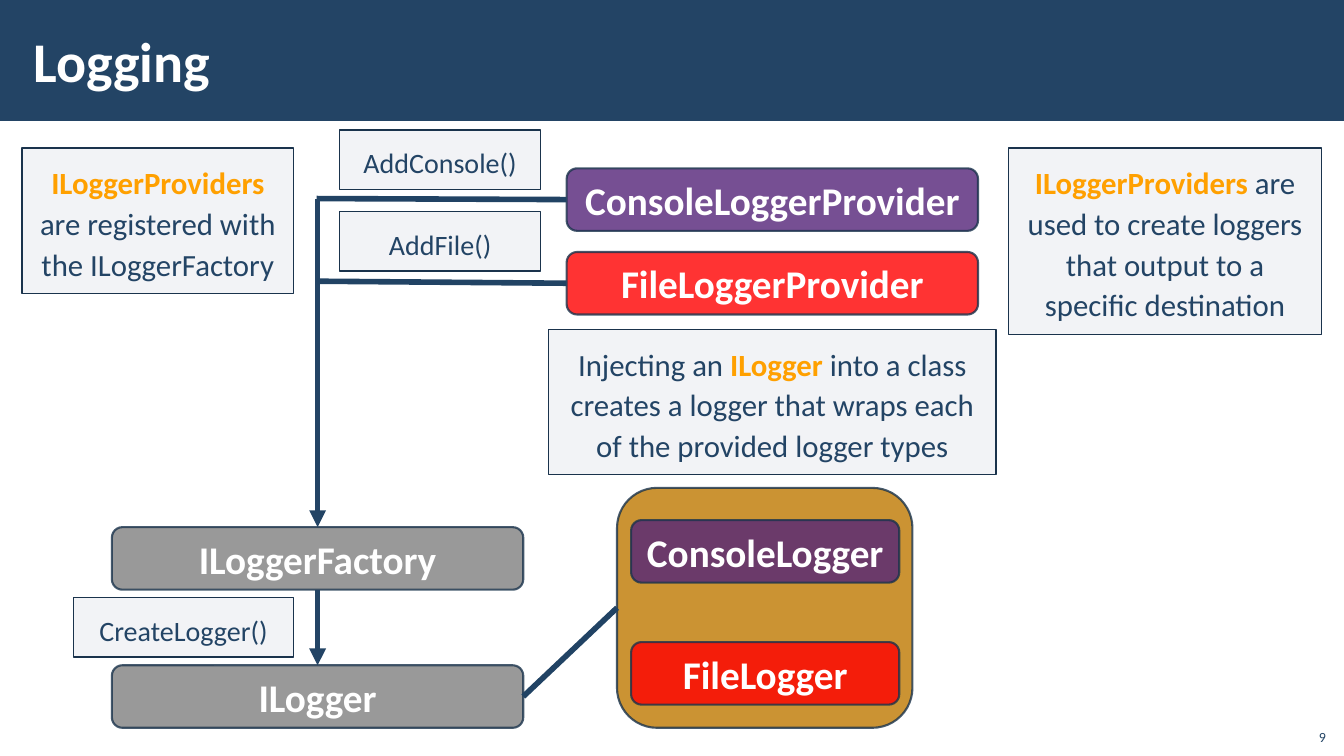
from lxml import etree
from pptx import Presentation
from pptx.dml.color import RGBColor
from pptx.enum.shapes import MSO_CONNECTOR, MSO_SHAPE
from pptx.enum.text import MSO_ANCHOR as ANCHOR, MSO_AUTO_SIZE as AUTO_SIZE, PP_ALIGN as ALIGN
from pptx.oxml.ns import qn
from pptx.util import Inches, Pt

FONT = "Calibri"
COLORS = {
    "navy": "234465",
    "link": "214364",
    "outline": "1A334C",
    "white": "FFFFFF",
    "orange": "FFA000",
    "purple": "542478",
    "red": "FF0000",
    "gray": "808080",
    "gold": "BF7800",
    "pale": "ADB4C3",
}
TOP, LEFT, BOTTOM, RIGHT = range(4)
NODE_HEIGHT = 0.62
WIDE, NARROW = 4.08, 2.66
TRUNK_X = 3.15


def color(name):
    return RGBColor.from_string(COLORS[name])


def set_font(font, size, name, bold=False):
    font.name = FONT
    font.size = Pt(size)
    font.bold = bold
    font.color.rgb = color(name)


def set_opacity(parent, percent):
    """Make the solid fill directly under parent partly transparent."""
    srgb = parent.find(qn("a:solidFill")).find(qn("a:srgbClr"))
    etree.SubElement(srgb, qn("a:alpha")).set("val", str(percent * 1000))


def add_box(page, kind, place, fill, opacity=100, line_width=None):
    box = page.shapes.add_shape(kind, *map(Inches, place))
    box.shadow.inherit = False
    box.fill.solid()
    box.fill.fore_color.rgb = color(fill)
    if opacity < 100:
        set_opacity(box.element.spPr, opacity)
    if line_width:
        box.line.color.rgb = color("outline")
        box.line.width = Pt(line_width)
    else:
        box.line.fill.background()
    return box


def add_node(page, left, top, width, fill, text="", height=NODE_HEIGHT):
    """Add a translucent rounded box with a bold white name."""
    box = add_box(page, MSO_SHAPE.ROUNDED_RECTANGLE, (left, top, width, height), fill, 80, 1.5)
    set_opacity(box.element.spPr.find(qn("a:ln")), 80)
    if text:
        box.text_frame.vertical_anchor = ANCHOR.MIDDLE
        para = box.text_frame.paragraphs[0]
        para.text = text
        para.alignment = ALIGN.CENTER
        set_font(para.font, 28, "white", bold=True)
    return box


def add_note(page, place, parts, size=22):
    """Add a pale box; parts are (text, is_highlighted) pairs."""
    box = add_box(page, MSO_SHAPE.RECTANGLE, place, "pale", 15, 1)
    frame = box.text_frame
    frame.word_wrap = True
    frame.auto_size = AUTO_SIZE.SHAPE_TO_FIT_TEXT
    frame.vertical_anchor = ANCHOR.TOP
    frame.margin_left = frame.margin_right = Inches(0.16)
    frame.margin_top = frame.margin_bottom = Inches(0.12)
    para = frame.paragraphs[0]
    para.alignment = ALIGN.CENTER
    para.line_spacing = 1.1
    for text, highlighted in parts:
        span = para.add_run()
        span.text = text
        set_font(span.font, size, "orange" if highlighted else "navy", highlighted)


def add_link(page, start, end, begin=None, finish=None, arrow=False):
    """Draw a line; begin and finish are optional (shape, side) joints."""
    link = page.shapes.add_connector(MSO_CONNECTOR.STRAIGHT, *map(Inches, start + end))
    if begin:
        link.begin_connect(*begin)
    if finish:
        link.end_connect(*finish)
    link.line.color.rgb = color("navy" if arrow else "link")
    link.line.width = Pt(4)
    if arrow:
        line = link.element.spPr.find(qn("a:ln"))
        etree.SubElement(line, qn("a:tailEnd")).set("type", "triangle")
    etree.SubElement(link.element.spPr, qn("a:effectLst"))


def add_header(page):
    band = add_box(page, MSO_SHAPE.RECTANGLE, (0, 0, 13.34, 1.2), "navy")
    title = page.shapes.title
    title.element.addprevious(band.element)
    title.left, title.top, title.width, title.height = map(Inches, (0.21, 0.11, 10.63, 0.97))
    frame = title.text_frame
    frame.vertical_anchor = ANCHOR.MIDDLE
    frame.margin_left = frame.margin_right = Inches(0.12)
    frame.margin_top = frame.margin_bottom = Inches(0.04)
    para = frame.paragraphs[0]
    para.text = "Logging"
    para.alignment = ALIGN.LEFT
    set_font(para.font, 40, "white", bold=True)


def add_page_number(page, number):
    box = page.shapes.add_textbox(*map(Inches, (12.85, 7.12, 0.4, 0.32)))
    box.text_frame.word_wrap = True
    box.text_frame.vertical_anchor = ANCHOR.BOTTOM
    para = box.text_frame.paragraphs[0]
    para.text = number
    para.alignment = ALIGN.RIGHT
    set_font(para.font, 10, "navy")


def main():
    deck = Presentation()
    deck.slide_width, deck.slide_height = Inches(13.33), Inches(7.5)
    page = deck.slides.add_slide(deck.slide_layouts[5])
    add_header(page)
    add_page_number(page, "9")

    console_provider = add_node(page, 5.62, 1.67, WIDE, "purple", "ConsoleLoggerProvider")
    file_provider = add_node(page, 5.62, 2.5, WIDE, "red", "FileLoggerProvider")
    factory = add_node(page, 1.11, 5.23, WIDE, "gray", "ILoggerFactory")
    logger = add_node(page, 1.11, 6.6, WIDE, "gray", "ILogger")
    wrapper = add_node(page, 6.12, 4.84, 2.93, "gold", height=2.38)
    add_node(page, 6.26, 5.16, NARROW, "purple", "ConsoleLogger")
    add_node(page, 6.26, 6.37, NARROW, "red", "FileLogger")

    add_note(page, (10, 1.47, 3.11, 1.85), [
        ("ILoggerProviders", True),
        (" are used to create loggers that output to a specific destination", False),
    ])
    add_note(page, (0.22, 1.47, 2.69, 1.44), [
        ("ILoggerProviders ", True),
        ("are registered with the ILoggerFactory", False),
    ])

    add_link(page, (5.62, 1.98), (3.14, 1.97), begin=(console_provider, LEFT))
    add_link(page, (TRUNK_X, 1.97), (TRUNK_X, 5.23), finish=(factory, TOP), arrow=True)
    add_link(page, (5.62, 2.81), (TRUNK_X, 2.79), begin=(file_provider, LEFT))
    add_link(page, (TRUNK_X, 5.85), (TRUNK_X, 6.6), (factory, BOTTOM), (logger, TOP), arrow=True)
    add_link(page, (6.12, 6.03), (5.19, 6.91), (wrapper, LEFT), (logger, RIGHT))

    add_note(page, (5.44, 3.27, 4.44, 1.44), [
        ("Injecting an ", False),
        ("ILogger", True),
        (" into a class creates a logger that wraps each of the provided logger types", False),
    ])
    for left, top, width, call in (
        (3.37, 1.29, 1.99, "AddConsole()"),
        (3.37, 2.1, 1.99, "AddFile()"),
        (0.73, 5.93, 2.18, "CreateLogger()"),
    ):
        add_note(page, (left, top, width, 0.59), [(call, False)], size=20)

    deck.save("out.pptx")


if __name__ == "__main__":
    main()
